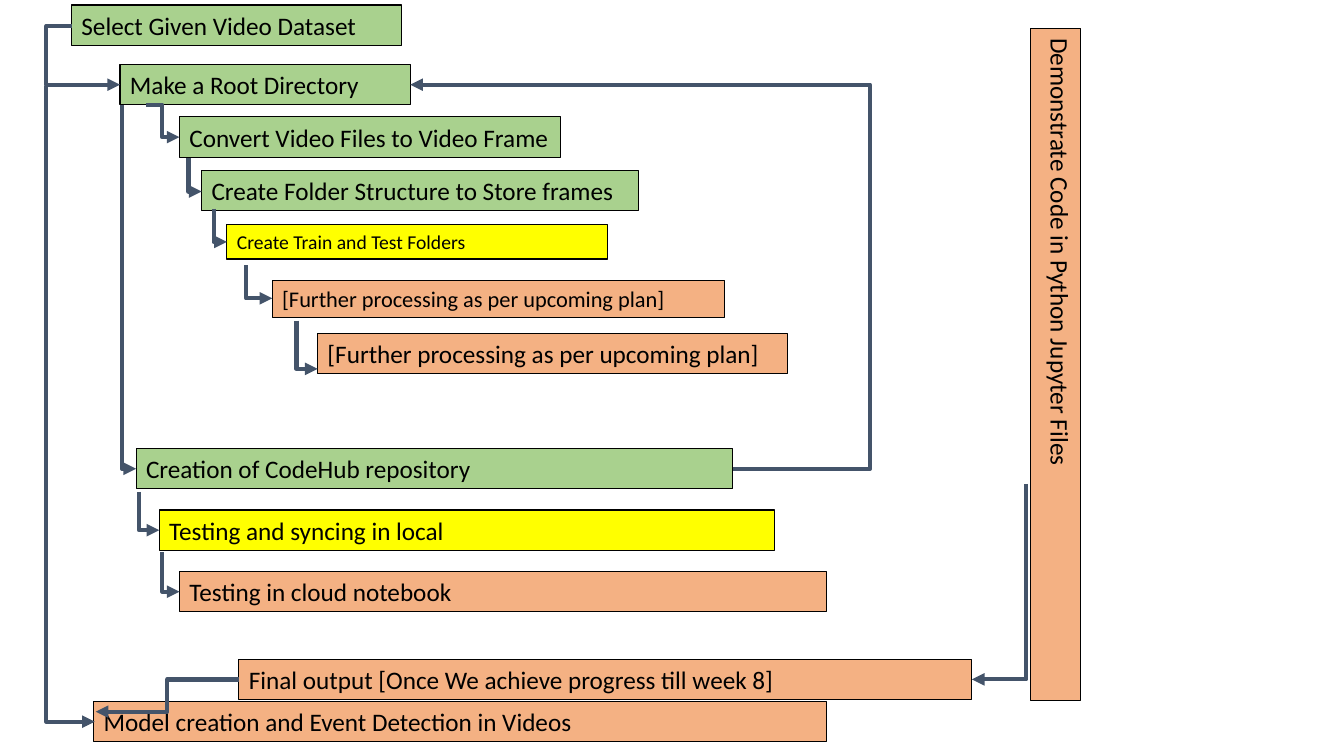
from lxml import etree
from pptx import Presentation
from pptx.dml.color import RGBColor
from pptx.enum.shapes import MSO_CONNECTOR as Link, MSO_SHAPE as Shape
from pptx.enum.text import MSO_ANCHOR as Anchor, MSO_AUTO_SIZE as Fit, PP_ALIGN as Align
from pptx.oxml.ns import qn
from pptx.util import Inches, Pt

GREEN = RGBColor(0xA9, 0xD1, 0x8E)
YELLOW = RGBColor(0xFF, 0xFF, 0x00)
ORANGE = RGBColor(0xF4, 0xB1, 0x83)
SLATE = RGBColor(0x44, 0x54, 0x6A)
BLACK = RGBColor(0, 0, 0)

STEPS = [
    ("Select Given Video Dataset", 0.71, 0.05, 3.27, GREEN, 18),
    ("Make a Root Directory", 1.19, 0.64, 2.88, GREEN, 18),
    ("Convert Video Files to Video Frame", 1.78, 1.16, 3.78, GREEN, 18),
    ("Create Folder Structure to Store frames", 2, 1.69, 4.33, GREEN, 18),
    ("Create Train and Test Folders", 2.25, 2.23, 3.78, YELLOW, 14),
    ("[Further processing as per upcoming plan]", 2.7, 2.78, 4.49, ORANGE, 16),
    ("[Further processing as per upcoming plan]", 3.15, 3.31, 4.66, ORANGE, 18),
    ("Creation of CodeHub repository", 1.35, 4.45, 5.92, GREEN, 18),
    ("Testing and syncing in local", 1.58, 5.06, 6.1, YELLOW, 18),
    ("Testing in cloud notebook", 1.78, 5.67, 6.42, ORANGE, 18),
    ("Final output [Once We achieve progress till week 8]", 2.37, 6.54, 7.27, ORANGE, 18),
]
HEIGHTS = {14: 0.34, 16: 0.37, 18: 0.4}

ELBOWS = [
    (0.71, 0.26, 0.46, 1.19, 0.84),
    (1.45, 1.04, 1.61, 1.78, 1.36),
    (1.87, 1.57, 1.87, 2, 1.9),
    (2.12, 2.07, 2.12, 2.25, 2.4),
    (2.44, 2.63, 2.44, 2.7, 2.96),
    (2.94, 3.18, 2.94, 3.15, 3.66),
    (1.21, 1.04, 1.21, 1.35, 4.65),
    (1.38, 4.88, 1.38, 1.58, 5.26),
    (7.27, 4.65, 8.63, 4.07, 0.84),
    (10.18, 4.8, 10.18, 9.64, 6.74),
    (1.61, 5.48, 1.61, 1.78, 5.87),
    (2.37, 6.74, 1.66, 0.95, 7.06),
    (0.46, 0.85, 0.46, 0.94, 7.16),
]


class Chart:
    font = "Calibri"

    def __init__(self, slide):
        self.shapes = slide.shapes

    def box(self, text, x, y, w, h, fill, size=18):
        box = self.shapes.add_shape(
            Shape.RECTANGLE, Inches(x), Inches(y), Inches(w), Inches(h))
        box.shadow.inherit = False
        box.fill.solid()
        box.fill.fore_color.rgb = fill
        box.line.color.rgb = BLACK
        box.line.width = Pt(0.75)
        frame = box.text_frame
        frame.word_wrap = True
        frame.auto_size = Fit.SHAPE_TO_FIT_TEXT
        frame.vertical_anchor = Anchor.TOP
        para = frame.paragraphs[0]
        para.text = text
        para.alignment = Align.LEFT
        para.font.name = self.font
        para.font.size = Pt(size)
        para.font.color.rgb = BLACK
        return box

    def bar(self, text, x, y, w, h, fill):
        bar = self.box(text, x, y, w, h, fill)
        bar.text_frame.auto_size = Fit.NONE
        body = bar.text_frame._txBody.find(qn("a:bodyPr"))
        body.set("vert", "eaVert")

    def arrow(self, kind, x1, y1, x2, y2, color, width):
        arrow = self.shapes.add_connector(
            kind, Inches(x1), Inches(y1), Inches(x2), Inches(y2))
        arrow.line.color.rgb = color
        arrow.line.width = Pt(width)
        line = arrow.line._get_or_add_ln()
        etree.SubElement(line, qn("a:tailEnd"), type="triangle")
        etree.SubElement(arrow._element.spPr, qn("a:effectLst"))
        return arrow

    def elbow(self, x1, y1, bend, x2, y2):
        arrow = self.arrow(Link.ELBOW, x1, y1, x2, y2, SLATE, 3)
        ratio = round((bend - x1) / (x2 - x1) * 100000)
        guides = arrow._element.spPr.find(qn("a:prstGeom")).find(qn("a:avLst"))
        etree.SubElement(guides, qn("a:gd"), name="adj1", fmla=f"val {ratio}")


def main():
    deck = Presentation()
    deck.slide_width = Inches(13.33)
    deck.slide_height = Inches(7.5)
    chart = Chart(deck.slides.add_slide(deck.slide_layouts[6]))
    for text, x, y, w, fill, size in STEPS:
        chart.box(text, x, y, w, HEIGHTS[size], fill, size)
    chart.bar("Demonstrate Code in Python Jupyter Files",
              10.22, 0.28, 0.5, 6.67, ORANGE)
    model = chart.box("Model creation and Event Detection in Videos",
                      0.93, 6.96, 7.27, 0.4, ORANGE)
    entry = chart.arrow(Link.STRAIGHT, 0.44, 7.16, 0.93, 7.16, BLACK, 0.5)
    entry.end_connect(model, 1)
    for elbow in ELBOWS:
        chart.elbow(*elbow)
    deck.save("out.pptx")


if __name__ == "__main__":
    main()
